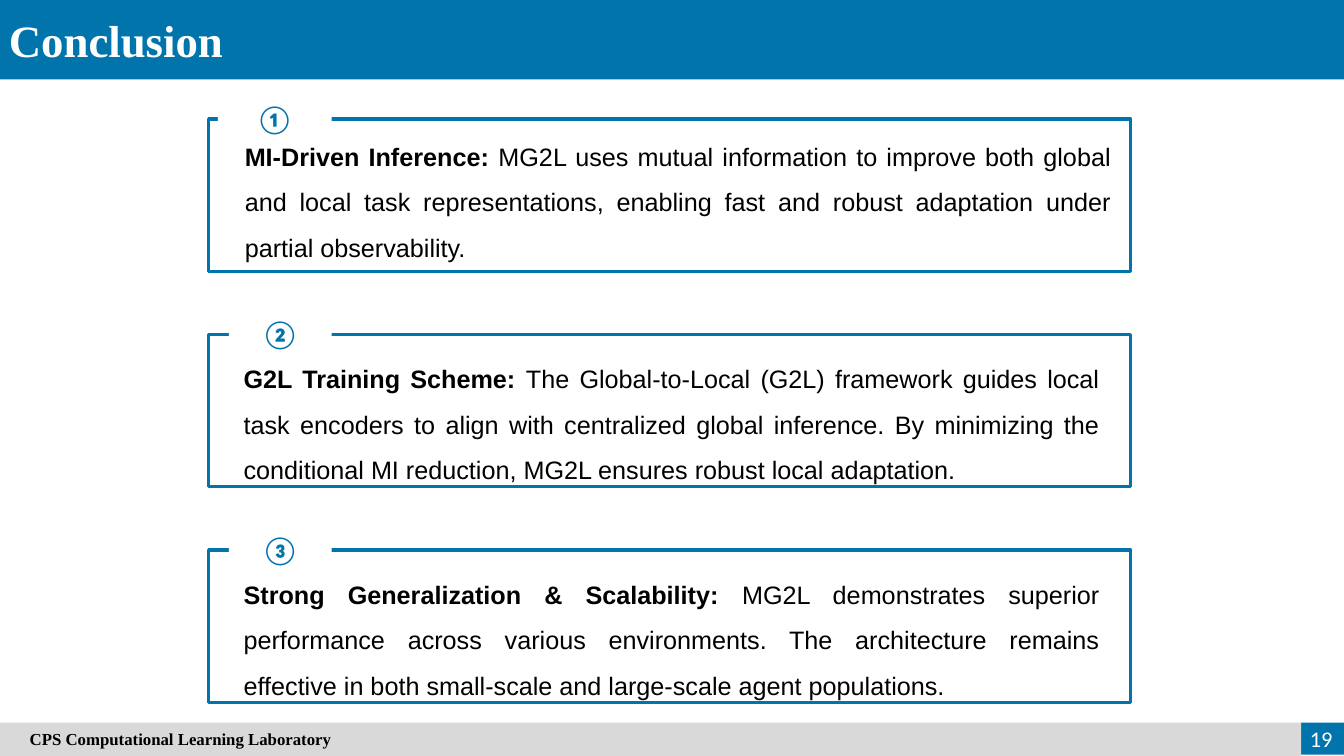
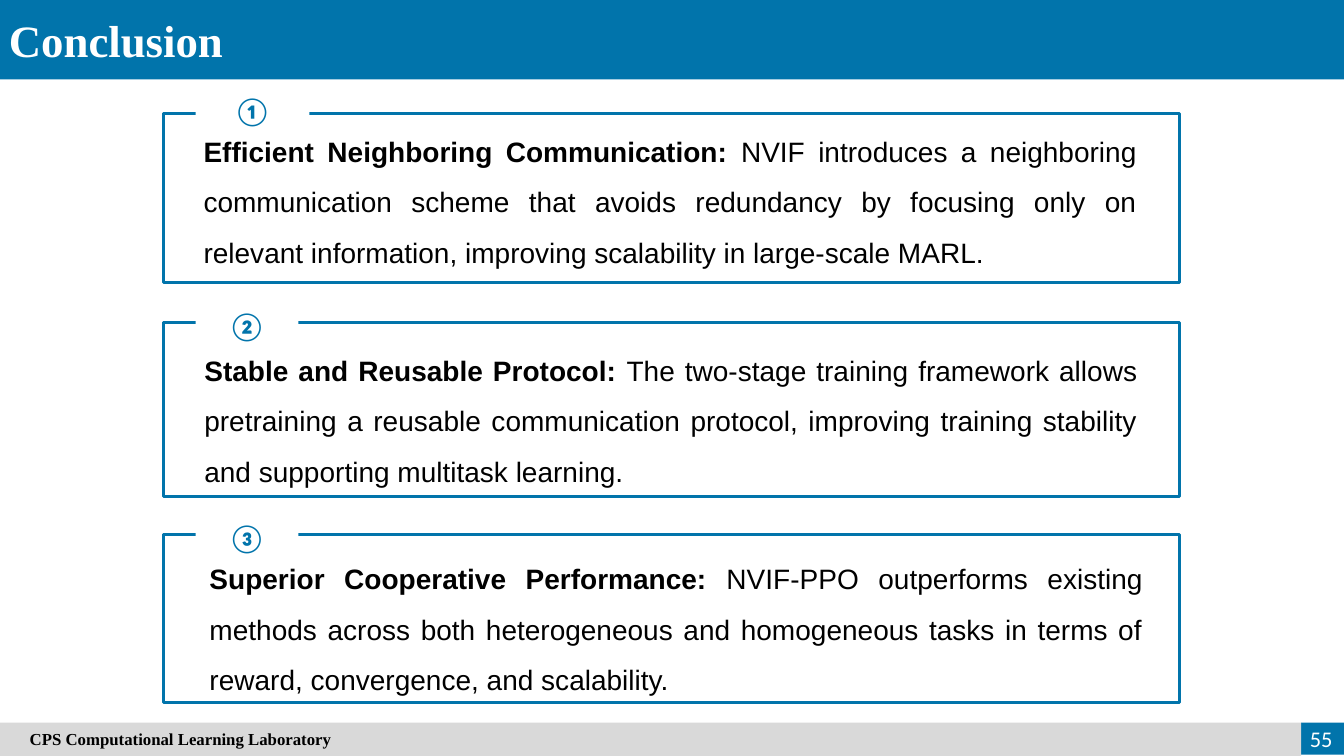
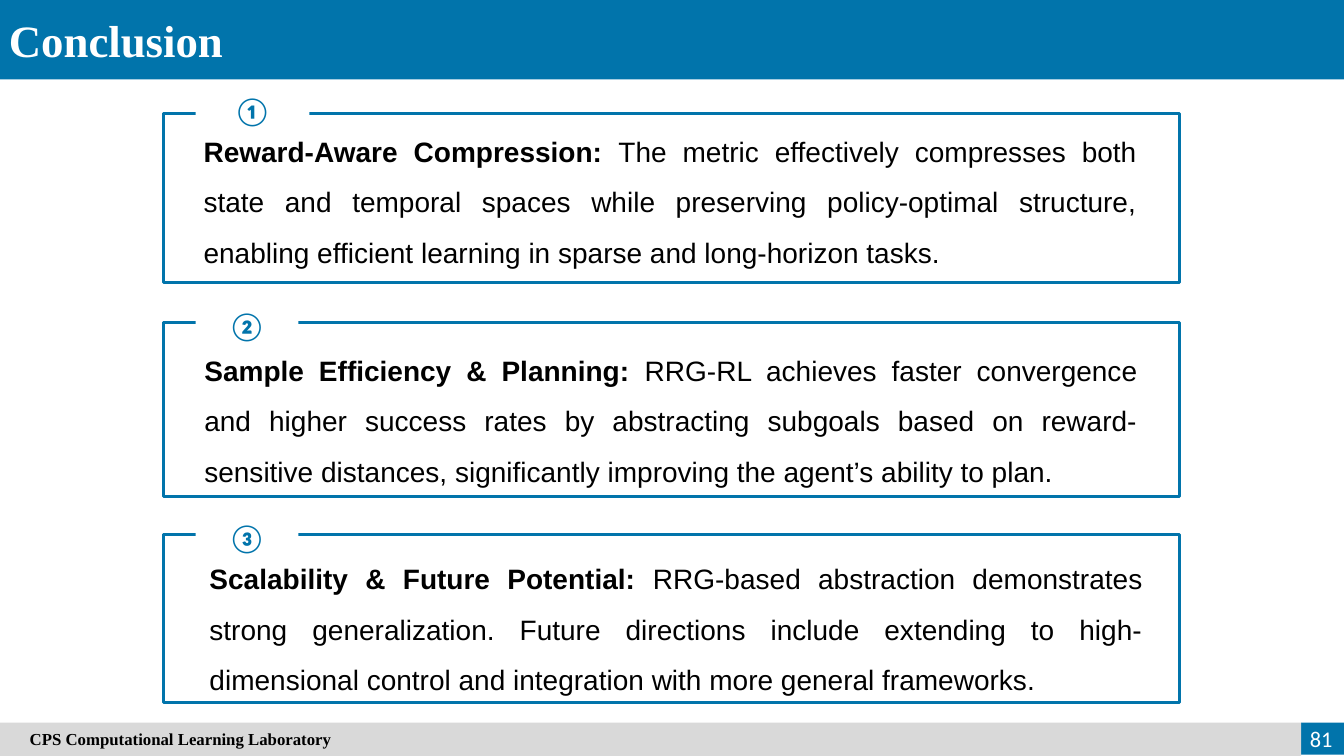
import dataclasses
import typing

import pptx
import pptx.dml.color
import pptx.enum.shapes
import pptx.enum.text
import pptx.util

Cm = pptx.util.Cm
RGBColor = pptx.dml.color.RGBColor
ALIGN = pptx.enum.text.PP_ALIGN
ANCHOR = pptx.enum.text.MSO_ANCHOR

# Colours and sizes shared by the slides
BLUE = RGBColor(0x01, 0x74, 0xAB)
GREY = RGBColor(0xD9, 0xD9, 0xD9)
WHITE = RGBColor(0xFF, 0xFF, 0xFF)
BLACK = RGBColor(0x00, 0x00, 0x00)
SERIF, SANS, BODY = "Times New Roman", "Calibri", "Arial"
SLIDE_W, SLIDE_H = 33.87, 19.05
FOOTER_TOP, FOOTER_W = 18.21, 32.79
NUMBERS = "①②③"


class Box(typing.NamedTuple):
    """Left, top, width and height in centimetres."""
    left: float
    top: float
    width: float
    height: float

    def lengths(self) -> list[pptx.util.Length]:
        return [Cm(v) for v in self]


class CardPlace(typing.NamedTuple):
    frame: Box
    tab: Box
    body: Box


class Point(typing.NamedTuple):
    heading: str
    text: str


@dataclasses.dataclass(frozen=True)
class Conclusion:
    page: str
    size: int
    places: list[CardPlace]
    points: list[Point]


# Card places: the first tab is wider than the other two
TAB_WIDTHS = (2.87, 2.59, 2.59)
TAB_H = 1.4

COMPACT = [
    CardPlace(
        Box(5.26, top, 23.24, 3.84),
        Box(8.36 - tab_w, top - 0.72, tab_w, TAB_H),
        Box(body_left, top + body_drop, body_w, 3.58),
    )
    for top, tab_w, (body_left, body_drop, body_w) in zip(
        (3.0, 8.43, 13.86),
        TAB_WIDTHS,
        ((5.92, 0.05, 22.33), (5.89, 0.23, 22.07), (5.89, 0.23, 22.07)),
    )
]

LARGE = [
    CardPlace(
        Box(4.13, top, 25.6, height),
        Box(4.93, tab_top, tab_w, TAB_H),
        Box(body_left, body_top, 24.02, 3.94),
    )
    for top, height, tab_top, tab_w, body_left, body_top in zip(
        (2.87, 8.13, 13.46),
        (4.24, 4.39, 4.24),
        (2.08, 7.49, 12.85),
        TAB_WIDTHS,
        (4.88, 4.9, 5.03),
        (2.84, 8.36, 13.61),
    )
]

CONCLUSIONS = [
    Conclusion("19", 18, COMPACT, [
        Point("MI-Driven Inference: ",
              "MG2L uses mutual information to improve both global and local task "
              "representations, enabling fast and robust adaptation under partial "
              "observability."),
        Point("G2L Training Scheme: ",
              "The Global-to-Local (G2L) framework guides local task encoders to align "
              "with centralized global inference. By minimizing the conditional MI "
              "reduction, MG2L ensures robust local adaptation."),
        Point("Strong Generalization & Scalability: ",
              "MG2L demonstrates superior performance across various environments. The "
              "architecture remains effective in both small-scale and large-scale agent "
              "populations."),
    ]),
    Conclusion("55", 20, LARGE, [
        Point("Efficient Neighboring Communication: ",
              "NVIF introduces a neighboring communication scheme that avoids redundancy "
              "by focusing only on relevant information, improving scalability in "
              "large-scale MARL."),
        Point("Stable and Reusable Protocol: ",
              "The two-stage training framework allows pretraining a reusable "
              "communication protocol, improving training stability and supporting "
              "multitask learning."),
        Point("Superior Cooperative Performance: ",
              "NVIF-PPO outperforms existing methods across both heterogeneous and "
              "homogeneous tasks in terms of reward, convergence, and scalability."),
    ]),
    Conclusion("81", 20, LARGE, [
        Point("Reward-Aware Compression: ",
              "The metric effectively compresses both state and temporal spaces while "
              "preserving policy-optimal structure, enabling efficient learning in sparse "
              "and long-horizon tasks."),
        Point("Sample Efficiency & Planning: ",
              "RRG-RL achieves faster convergence and higher success rates by abstracting "
              "subgoals based on reward-sensitive distances, significantly improving the "
              "agent’s ability to plan."),
        Point("Scalability & Future Potential: ",
              "RRG-based abstraction demonstrates strong generalization. Future directions "
              "include extending to high-dimensional control and integration with more "
              "general frameworks."),
    ]),
]


def set_font(r, name: str, size: int, color: RGBColor, bold: bool = False) -> None:
    r.font.name = name
    r.font.size = pptx.util.Pt(size)
    r.font.bold = bold
    r.font.color.rgb = color


def set_line(sp, text: str, align: ALIGN, name: str, size: int,
             color: RGBColor, bold: bool = False, anchor: ANCHOR = ANCHOR.MIDDLE) -> None:
    """Fill a shape with one line of formatted text."""
    tf = sp.text_frame
    tf.text = text
    tf.word_wrap = True
    tf.auto_size = pptx.enum.text.MSO_AUTO_SIZE.NONE
    tf.vertical_anchor = anchor
    p = tf.paragraphs[0]
    p.alignment = align
    set_font(p.runs[0], name, size, color, bold)


def add_rect(s, box: Box, fill: RGBColor | None = None, line: RGBColor | None = None):
    sp = s.shapes.add_shape(pptx.enum.shapes.MSO_SHAPE.RECTANGLE, *box.lengths())
    sp.shadow.inherit = False
    if fill is None:
        sp.fill.background()
    else:
        sp.fill.solid()
        sp.fill.fore_color.rgb = fill
    if line is None:
        sp.line.fill.background()
    else:
        sp.line.color.rgb = line
        sp.line.width = pptx.util.Pt(2.25)
    return sp


def add_title(s, text: str) -> None:
    band = add_rect(s, Box(0, 0, SLIDE_W, 2), BLUE)
    title = s.shapes.title
    title.left, title.top, title.width, title.height = Box(-0.03, 0.2, 13.64, 1.63).lengths()
    set_line(title, text, ALIGN.JUSTIFY, SERIF, 32, WHITE, True, ANCHOR.TOP)
    band.element.addnext(title.element)  # title in front of its band


def add_footer(s, page: str) -> None:
    add_rect(s, Box(FOOTER_W, FOOTER_TOP, SLIDE_W - FOOTER_W, 0.81), BLUE)
    bar = add_rect(s, Box(0, FOOTER_TOP, FOOTER_W, SLIDE_H - FOOTER_TOP), GREY)
    set_line(bar, "CPS Computational Learning Laboratory", ALIGN.LEFT, SERIF, 12, BLACK, True)
    bar.text_frame.margin_left = Cm(0.75)
    number = s.shapes.add_textbox(*Box(32.23, 18.11, 1.6, 1.02).lengths())
    set_line(number, page, ALIGN.RIGHT, SANS, 16, WHITE)


def add_card(s, place: CardPlace, number: str, point: Point, size: int) -> None:
    add_rect(s, place.frame, line=BLUE)
    tab = add_rect(s, place.tab, WHITE)
    set_line(tab, number, ALIGN.CENTER, SANS, 20, BLUE, True)

    tf = s.shapes.add_textbox(*place.body.lengths()).text_frame
    tf.word_wrap = True
    p = tf.paragraphs[0]
    p.alignment = ALIGN.JUSTIFY
    p.line_spacing = 1.5
    for text, bold in ((point.heading, True), (point.text, False)):
        r = p.add_run()
        r.text = text
        set_font(r, BODY, size, BLACK, bold)


def main() -> None:
    prs = pptx.Presentation()
    prs.slide_width, prs.slide_height = Cm(SLIDE_W), Cm(SLIDE_H)
    title_only = prs.slide_layouts[5]
    for conclusion in CONCLUSIONS:
        s = prs.slides.add_slide(title_only)
        add_title(s, "Conclusion")
        add_footer(s, conclusion.page)
        for place, number, point in zip(conclusion.places, NUMBERS, conclusion.points):
            add_card(s, place, number, point, conclusion.size)
    prs.save("out.pptx")


if __name__ == "__main__":
    main()
